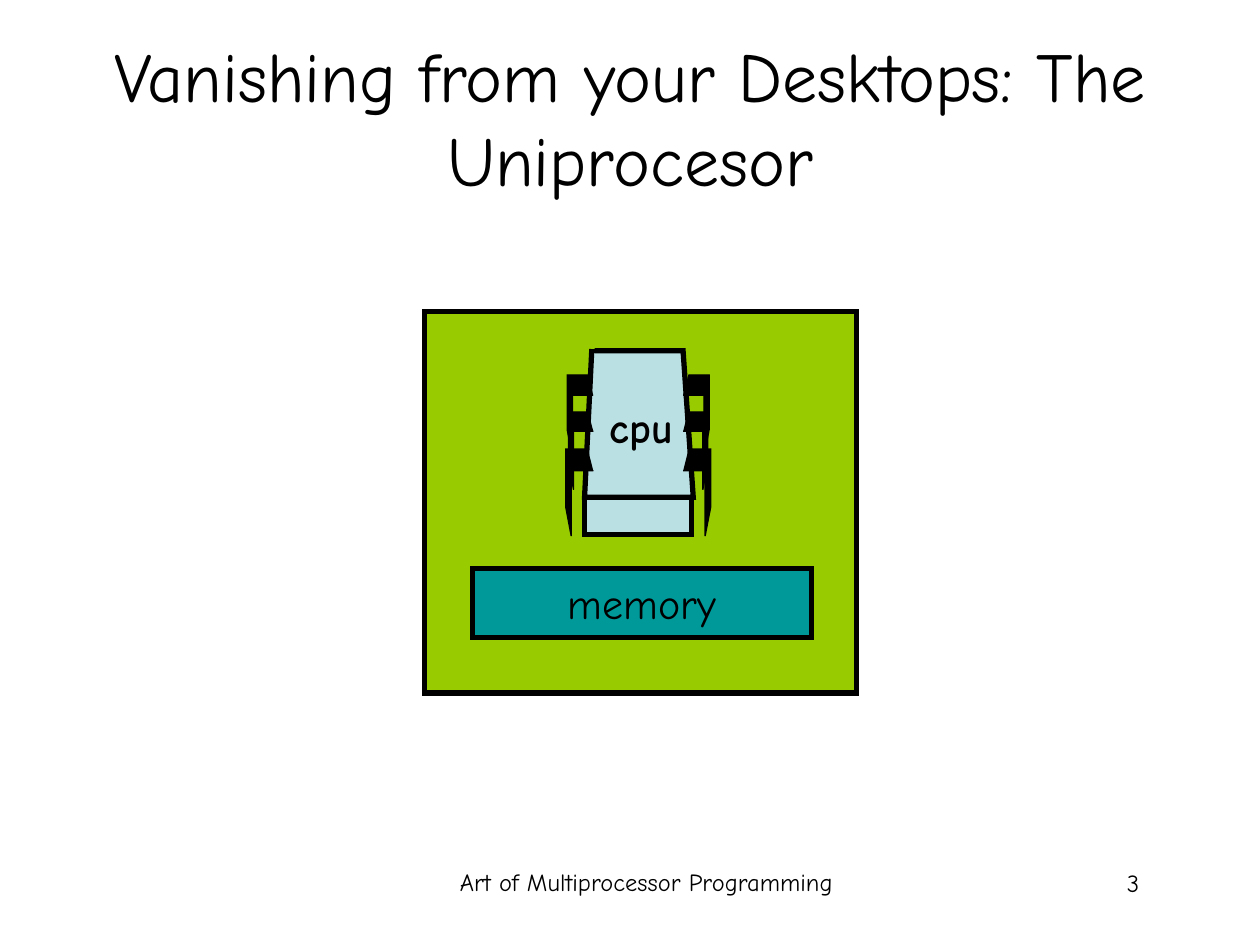
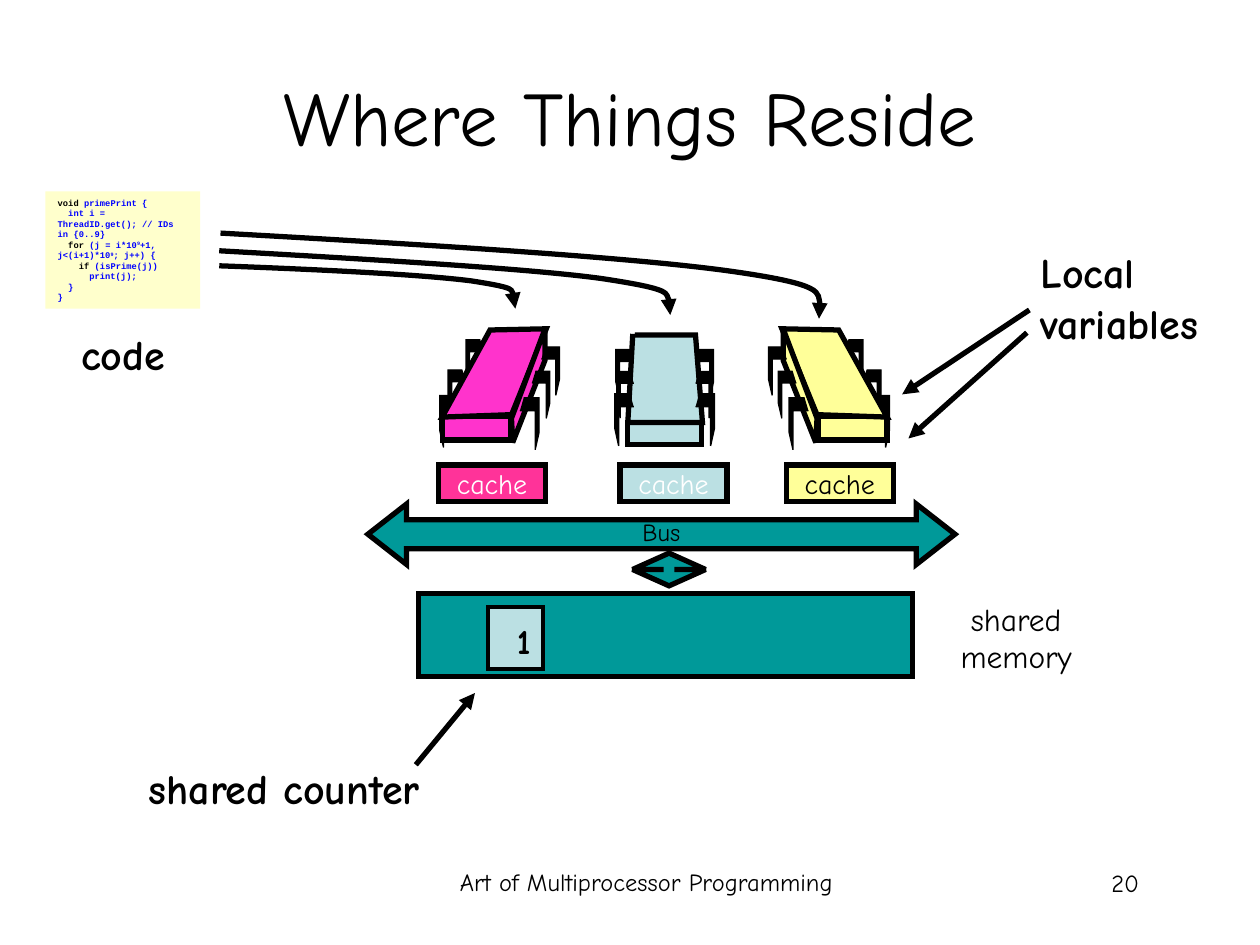
from lxml import etree
from pptx import Presentation
from pptx.dml.color import RGBColor
from pptx.enum.shapes import MSO_CONNECTOR, MSO_SHAPE
from pptx.enum.text import MSO_ANCHOR, MSO_AUTO_SIZE, PP_ALIGN
from pptx.oxml.ns import qn
from pptx.util import Inches, Pt

RECT, BUS_ARROW, LINK_ARROW = MSO_SHAPE.RECTANGLE, MSO_SHAPE.LEFT_RIGHT_ARROW, MSO_SHAPE.UP_DOWN_ARROW
STRAIGHT = MSO_CONNECTOR.STRAIGHT
TOP, MIDDLE = MSO_ANCHOR.TOP, MSO_ANCHOR.MIDDLE
LEFT, CENTER, RIGHT = PP_ALIGN.LEFT, PP_ALIGN.CENTER, PP_ALIGN.RIGHT
NO_FIT = MSO_AUTO_SIZE.NONE

FONT, CODE_FONT = "Comic Neue", "Courier New"
C = {"ink": "000000", "paper": "FFFFFF", "board": "99CC00", "memory": "009999",
     "ice": "BBE0E3", "pink": "FF33CC", "rose": "FF3399", "lemon": "FFFF99",
     "note": "FFFFCC", "code": "0000FF"}

FOOTER = "Art of Multiprocessor Programming"
FOOTER_BOX, NUMBER_BOX = (3.42, 6.83, 3.42, 0.52), (7.06, 6.84, 2.08, 0.5)

# Chip parts are shares of the chip's box: front and pins as left, top, width, height.
PIN = [(0.2, 0), (1, 0), (1, 0.67), (0.8, 1), (0.8, 0.25), (0, 0.25)]
UPRIGHT_PINS = [(0.81, 0.54, 0.19, 0.47), (0.81, 0.34, 0.17, 0.42), (0.81, 0.14, 0.18, 0.44)]
UPRIGHT = [
    ("front", (0.13, 0.8, 0.74, 0.2)),
    ("top", [(0.2, 0.01), (0.81, 0.01), (0.88, 0.8), (0.13, 0.8), (0.18, 0)]),
    *[("right pin", pin) for pin in UPRIGHT_PINS],
    *[("left pin", (1 - x - w, y, w, h)) for x, y, w, h in UPRIGHT_PINS],
]
SLANTED = [
    ("front", (0.02, 0.72, 0.57, 0.2)),
    ("left pin", (0, 0.55, 0.16, 0.43)),
    ("left pin", (0.07, 0.34, 0.15, 0.39)),
    ("left pin", (0.22, 0.09, 0.15, 0.4)),
    ("side", [(0.02, 0.73), (0.6, 0.71), (0.89, 0), (0.42, 0.01)]),
    ("side", [(0.88, 0), (0.88, 0.26), (0.61, 0.94), (0.6, 0.74)]),
    ("right pin", (0.67, 0.57, 0.16, 0.43)),
    ("right pin", (0.77, 0.35, 0.15, 0.39)),
    ("right pin", (0.85, 0.15, 0.15, 0.4)),
]

CHIPS = [
    (SLANTED, (3.49, 2.61, 0.95, 0.96), "pink", False),
    (UPRIGHT, (4.88, 2.65, 0.79, 0.88), "ice", False),
    (SLANTED, (6.1, 2.61, 0.96, 0.96), "lemon", True),
]
CACHES = [(3.48, "rose", "paper"), (4.92, "ice", "paper"), (6.24, "lemon", "ink")]
LABELS = [
    ("1", (3.94, 4.87, 0.37, 0.43), 20, True, RIGHT),
    ("shared counter", (0.81, 6, 2.62, 0.5), 24, True, RIGHT),
    ("shared\nmemory", (7.51, 4.71, 1.11, 0.7), 18, False, CENTER),
    ("code", (0.48, 2.56, 0.93, 0.5), 24, True, RIGHT),
    ("Local\nvariables", (8.16, 1.91, 1.62, 0.9), 24, True, LEFT),
]
ARROWS = [((3.3, 6.07), (3.77, 5.5)), ((8.17, 2.46), (7.16, 3.13)), ((8.15, 2.64), (7.21, 3.48))]
CURVES = [
    [(1.74, 1.99), (2.96, 2.06), (4.18, 2.13), (4.77, 2.21), (5.37, 2.3), (5.34, 2.4), (5.32, 2.5)],
    [(1.75, 1.85), (3.36, 1.94), (4.98, 2.04), (5.78, 2.15), (6.57, 2.26), (6.53, 2.4), (6.5, 2.53)],
    [(1.74, 2.11), (2.55, 2.14), (3.35, 2.18), (3.74, 2.23), (4.13, 2.29), (4.11, 2.37), (4.09, 2.45)],
]
CODE = [
    [("void", "ink"), (" primePrint {", "code")],
    [("  int i = ThreadID.get(); // IDs in {0..9}", "code")],
    [("  for ", "ink"), ("(j = i*10", "code"), ("9", "super"), ("+1, j<(i+1)*10", "code"),
     ("9", "super"), ("; j++) {", "code")],
    [("    if ", "ink"), ("(isPrime(j))", "code")],
    [("      print(j);", "code")],
    [("  }", "code")],
    [("}", "code")],
]


def rgb(name):
    return RGBColor.from_string(C[name])


def inches(values):
    return [Inches(v) for v in values]


def style_run(r, size, color="ink", bold=False, font=FONT):
    r.font.name, r.font.size, r.font.bold = font, Pt(size), bold
    r.font.color.rgb = rgb(color)


def write(sp, text, size, color="ink", bold=False, align=CENTER, anchor=MIDDLE, wrap=False):
    tf = sp.text_frame
    tf.text = text
    tf.word_wrap, tf.vertical_anchor, tf.auto_size = wrap, anchor, NO_FIT
    for p in tf.paragraphs:
        p.alignment = align
        for r in p.runs:
            style_run(r, size, color, bold)


def label(s, text, box, size, bold=False, align=CENTER, wrap=False):
    sp = s.shapes.add_textbox(*inches(box))
    write(sp, text, size, bold=bold, align=align, anchor=TOP, wrap=wrap)


def outline(sp, width, arrow=False):
    sp.line.color.rgb, sp.line.width = rgb("ink"), Pt(width)
    ln = sp.line._get_or_add_ln()
    etree.SubElement(ln, qn("a:miter")).set("lim", "800000")
    if arrow:
        etree.SubElement(ln, qn("a:tailEnd")).set("type", "triangle")


def paint(sp, fill, width=3):
    sp.shadow.inherit = False
    sp.fill.solid()
    sp.fill.fore_color.rgb = rgb(fill)
    if width:
        outline(sp, width)
    else:
        sp.line.fill.background()


def block(s, box, fill, kind=RECT, width=3, adjust=()):
    sp = s.shapes.add_shape(kind, *inches(box))
    for i, value in enumerate(adjust):
        sp.adjustments[i] = value
    paint(sp, fill, width)
    return sp


def freeform(s, points, close=False):
    start, *rest = [inches(point) for point in points]
    builder = s.shapes.build_freeform(*start)
    builder.add_line_segments(rest, close=close)
    return builder.convert_to_shape()


def chip(s, parts, box, fill, mirror=False):
    left, top, width, height = box

    def place(u, v):
        return left + width * (1 - u if mirror else u), top + height * v

    for kind, data in parts:
        if kind == "front":
            u, v, w, h = data
            x, y = place(u + w if mirror else u, v)
            block(s, (x, y, w * width, h * height), fill)
        elif kind.endswith("pin"):
            u, v, w, h = data
            shares = [(1 - a if kind == "left pin" else a, b) for a, b in PIN]
            paint(freeform(s, [place(u + a * w, v + b * h) for a, b in shares]), "ink", 0.75)
        else:
            paint(freeform(s, [place(*point) for point in data], kind == "side"), fill)


def curve(s, points):
    sp = freeform(s, points)
    sp.shadow.inherit = False
    sp.fill.background()
    outline(sp, 3, arrow=True)
    segments = list(sp._element.iter(qn("a:lnTo")))
    trail = segments[0].getparent()
    for i in range(0, len(segments), 3):
        bezier = etree.SubElement(trail, qn("a:cubicBezTo"))
        for segment in segments[i:i + 3]:
            bezier.append(segment[0])
            trail.remove(segment)


def arrow(s, start, end):
    line = s.shapes.add_connector(STRAIGHT, *inches(start + end))
    outline(line, 3, arrow=True)
    etree.SubElement(line._element.spPr, qn("a:effectLst"))


def code_note(s, box):
    sp = block(s, box, "note", width=0)
    tf = sp.text_frame
    tf.word_wrap, tf.vertical_anchor = True, TOP
    for i, parts in enumerate(CODE):
        p = tf.paragraphs[0] if i == 0 else tf.add_paragraph()
        p.alignment = LEFT
        for text, role in parts:
            r = p.add_run()
            r.text = text
            style_run(r, 5, "ink" if role == "ink" else "code", True, CODE_FONT)
            if role == "super":
                r.font._element.set("baseline", "30000")


def new_slide(prs, title, box, size, number):
    s = prs.slides.add_slide(prs.slide_layouts[5])
    sp = s.shapes.title
    sp.left, sp.top, sp.width, sp.height = inches(box)
    write(sp, title, size, wrap=True)
    label(s, FOOTER, FOOTER_BOX, 14, wrap=True)
    label(s, number, NUMBER_BOX, 14, align=RIGHT, wrap=True)
    return s


def uniprocessor(prs):
    s = new_slide(prs, "Vanishing from your Desktops: The Uniprocesor", (0.5, 0.3, 9, 1.25), 40, "3")
    block(s, (3.37, 2.47, 3.43, 3.03), "board")
    chip(s, UPRIGHT, (4.49, 2.77, 1.15, 1.47), "ice")
    write(block(s, (3.75, 4.51, 2.69, 0.55), "memory"), "memory", 24)
    label(s, "cpu", (4.71, 3.14, 0.73, 0.5), 24, True, RIGHT)


def where_things_reside(prs):
    s = new_slide(prs, "Where Things Reside", (0.75, 0.29, 8.5, 1.25), 44, "20")
    for parts, box, fill, mirror in CHIPS:
        chip(s, parts, box, fill, mirror)
    bus = block(s, (2.92, 4, 4.66, 0.48), "memory", BUS_ARROW, adjust=(0.48, 0.64))
    write(bus, "Bus", 14)
    bus.text_frame.margin_top, bus.text_frame.margin_bottom = inches((0, 0.04))
    block(s, (3.32, 4.71, 3.92, 0.66), "memory")
    block(s, (5.02, 4.39, 0.58, 0.26), "memory", LINK_ARROW, adjust=(0.5, 0.15))
    for left, fill, color in CACHES:
        write(block(s, (left, 3.69, 0.85, 0.29), fill), "cache", 16, color)
    block(s, (3.87, 4.82, 0.44, 0.49), "ice", width=2.25)
    code_note(s, (0.36, 1.52, 1.23, 0.93))
    for text, box, size, bold, align in LABELS:
        label(s, text, box, size, bold, align)
    for points in CURVES:
        curve(s, points)
    for start, end in ARROWS:
        arrow(s, start, end)


def main():
    prs = Presentation()
    prs.slide_width, prs.slide_height = Inches(10), Inches(7.5)
    uniprocessor(prs)
    where_things_reside(prs)
    prs.save("out.pptx")


if __name__ == "__main__":
    main()
